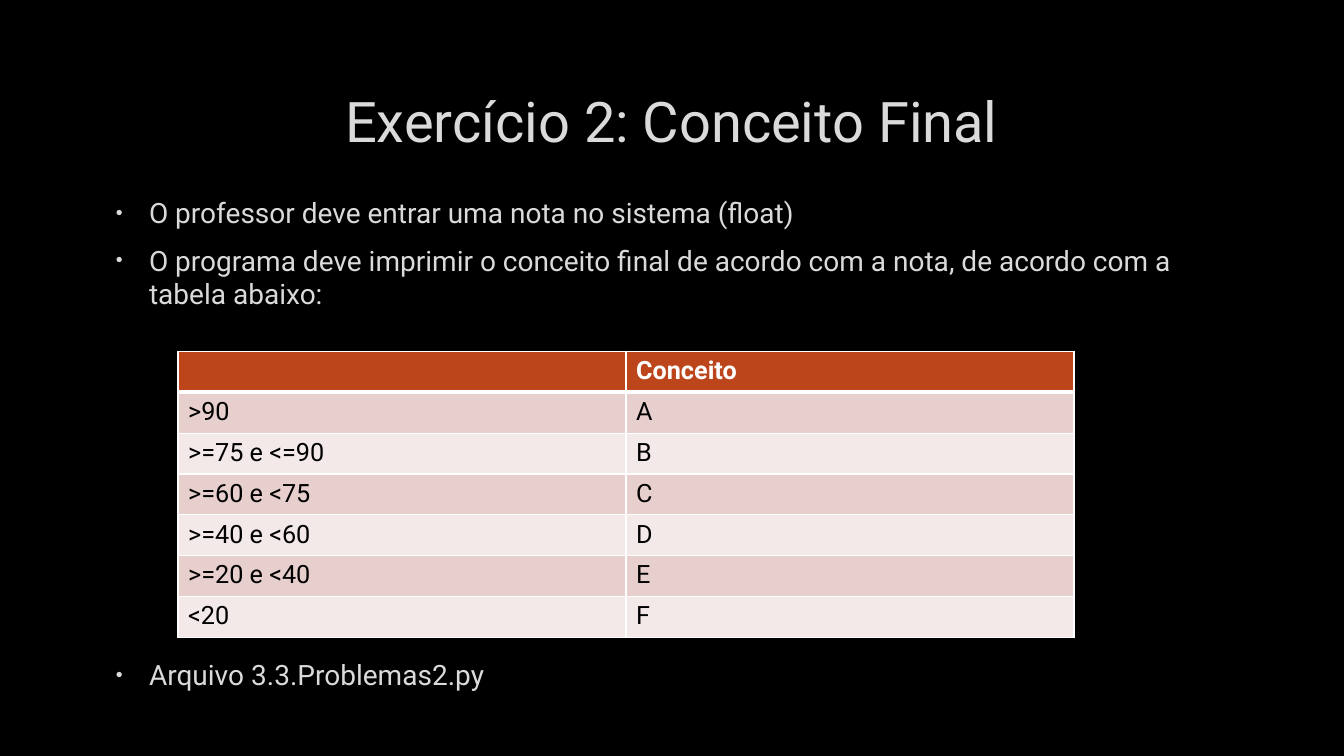
from lxml.etree import SubElement as Sub
from pptx import Presentation
from pptx.dml.color import RGBColor as RGB
from pptx.enum.text import MSO_ANCHOR as Anchor, PP_ALIGN as Align
from pptx.oxml.ns import qn
from pptx.util import Inches, Pt

BLACK = RGB(0, 0, 0)
WHITE = RGB(255, 255, 255)
PALE = RGB(0xDA, 0xDA, 0xDA)
EDGE = RGB(0x40, 0x40, 0x40)
RUST = RGB(0xBC, 0x45, 0x1B)
BANDS = RGB(0xE7, 0xCF, 0xCD), RGB(0xF3, 0xE9, 0xE8)

COLS, ROWS = 120, 100
LEFT, SPAN = 9, 101.9
GAP = 242  # points kept free for the table
GRADES = [
    ("", "Conceito"),
    (">90", "A"),
    (">=75 e <=90", "B"),
    (">=60 e <75", "C"),
    (">=40 e <60", "D"),
    (">=20 e <40", "E"),
    ("<20", "F"),
]
POINTS = [
    ("O professor deve entrar uma nota no sistema (float)", 4),
    ("O programa deve imprimir o conceito final de acordo com a nota, "
     "de acordo com a tabela abaixo:", 4),
    ("Arquivo 3.3.Problemas2.py", GAP),
]


def paint(node, color, alpha=None):
    """Add a solid fill to an XML node."""
    fill = Sub(node, qn("a:solidFill"))
    tint = Sub(fill, qn("a:srgbClr"), val=str(color))
    if alpha:
        Sub(tint, qn("a:alpha"), val=str(alpha * 1000))


class Deck:
    """Holds the style and the current slide."""

    def __init__(self, font, ground):
        """Open a deck with one plain slide."""
        self.font = font
        self.show = Presentation()
        self.show.slide_width = Inches(13.33)
        self.show.slide_height = Inches(7.5)
        self.slide = self.show.slides.add_slide(self.show.slide_layouts[6])
        back = self.slide.background.fill
        back.solid()
        back.fore_color.rgb = ground

    def place(self, col, row, wide, high):
        """Turn grid units into a left, top, width, height list."""
        unit = self.show.slide_width / COLS
        step = self.show.slide_height / ROWS
        return [round(n) for n in
                (col * unit, row * step, wide * unit, high * step)]

    def label(self, para, text, size, color, bold=False, edge=None):
        """Add one run, with a faint outline if asked."""
        run = para.add_run()
        run.text = text
        font = run.font
        font.name, font.size, font.bold = self.font, Pt(size), bold
        font.color.rgb = color
        if edge:
            props = run._r.get_or_add_rPr()
            line = Sub(props, qn("a:ln"), w=str(Pt(0.75)))
            paint(line, edge, 10)
            props.insert(0, line)

    def box(self, *spot):
        """Add an empty wrapping text frame."""
        frame = self.slide.shapes.add_textbox(*self.place(*spot)).text_frame
        frame.word_wrap = True
        return frame

    def title(self, text, *spot):
        """Add the centred heading."""
        frame = self.box(*spot)
        frame.vertical_anchor = Anchor.MIDDLE
        para = frame.paragraphs[0]
        para.alignment = Align.CENTER
        self.label(para, text, 40, PALE, edge=EDGE)

    def points(self, items, *spot):
        """Add bulleted lines, each with its space before."""
        frame = self.box(*spot)
        for i, (text, space) in enumerate(items):
            para = frame.add_paragraph() if i else frame.paragraphs[0]
            para.space_before, para.space_after = Pt(space), Pt(6)
            props = para._p.get_or_add_pPr()
            props.set("marL", str(Inches(0.38)))
            props.set("indent", str(Inches(-0.33)))
            tint = Sub(props, qn("a:buClr"))
            Sub(tint, qn("a:srgbClr"), val=str(PALE))
            Sub(props, qn("a:buSzPct"), val="70000")
            Sub(props, qn("a:buFont"), typeface="Arial")
            Sub(props, qn("a:buChar"), char="•")
            self.label(para, text, 20, PALE, edge=EDGE)

    def cell(self, cell, text, head, fill):
        """Fill, border and label one table cell."""
        props = cell._tc.get_or_add_tcPr()
        for side in "LRTB":
            width = 3 if head and side == "B" else 1
            line = Sub(props, qn(f"a:ln{side}"), w=str(Pt(width)))
            paint(line, WHITE)
        cell.fill.solid()
        cell.fill.fore_color.rgb = fill
        if text:
            color = WHITE if head else BLACK
            self.label(cell.text_frame.paragraphs[0], text, 18, color, head)

    def table(self, data, col, row, wide, step):
        """Add a banded table with a header row."""
        spot = self.place(col, row, wide, step * len(data))
        grid = self.slide.shapes.add_table(
            len(data), len(data[0]), *spot).table
        for r, line in enumerate(data):
            fill = BANDS[(r - 1) % 2] if r else RUST
            for c, text in enumerate(line):
                self.cell(grid.cell(r, c), text, r == 0, fill)


deck = Deck("Roboto", BLACK)
deck.title("Exercício 2: Conceito Final", LEFT, 8.9, SPAN, 14.1)
deck.points(POINTS, LEFT, 25.2, SPAN, 70)
deck.table(GRADES, 15.9, 46.5, 80, 5.4)
deck.show.save("out.pptx")
